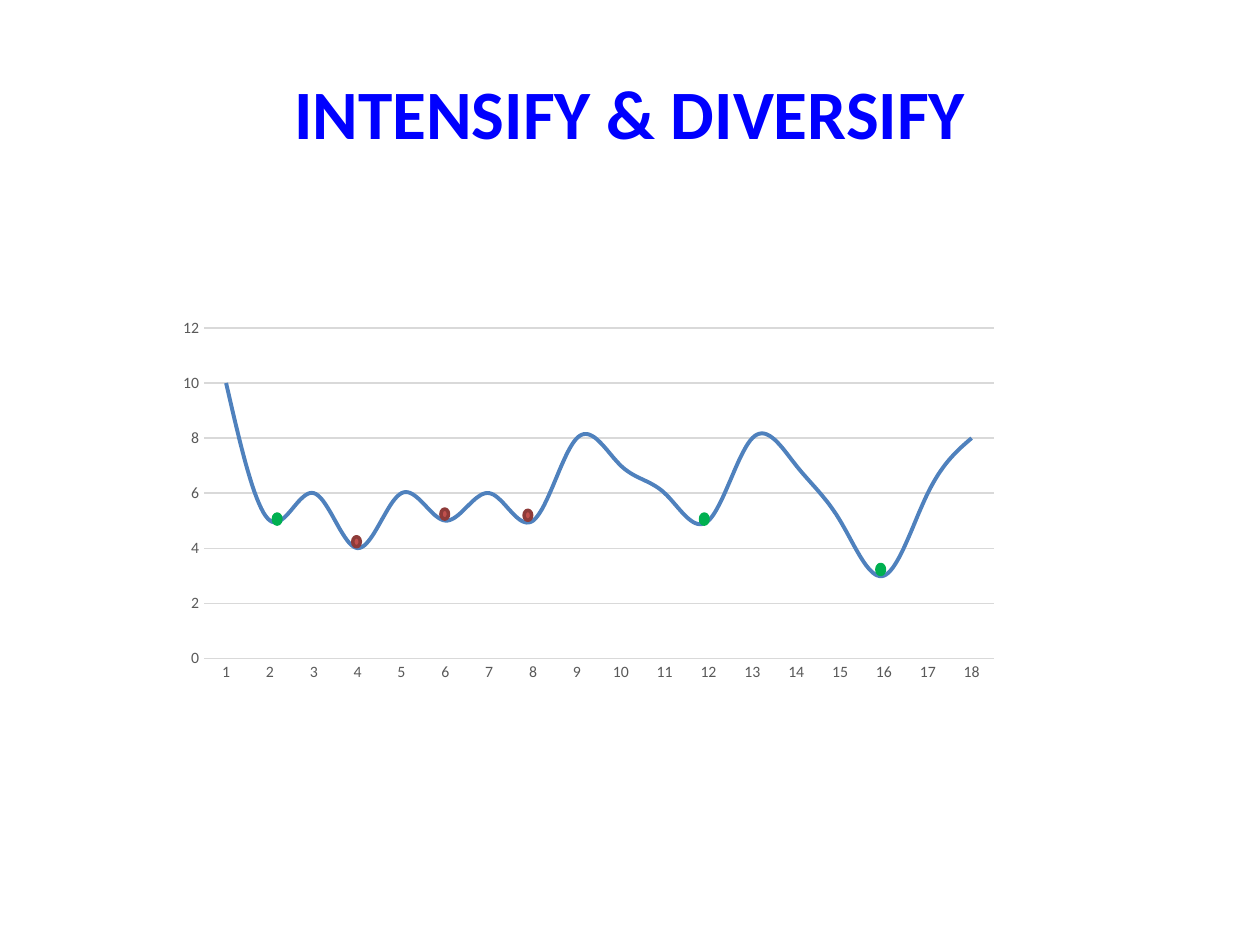
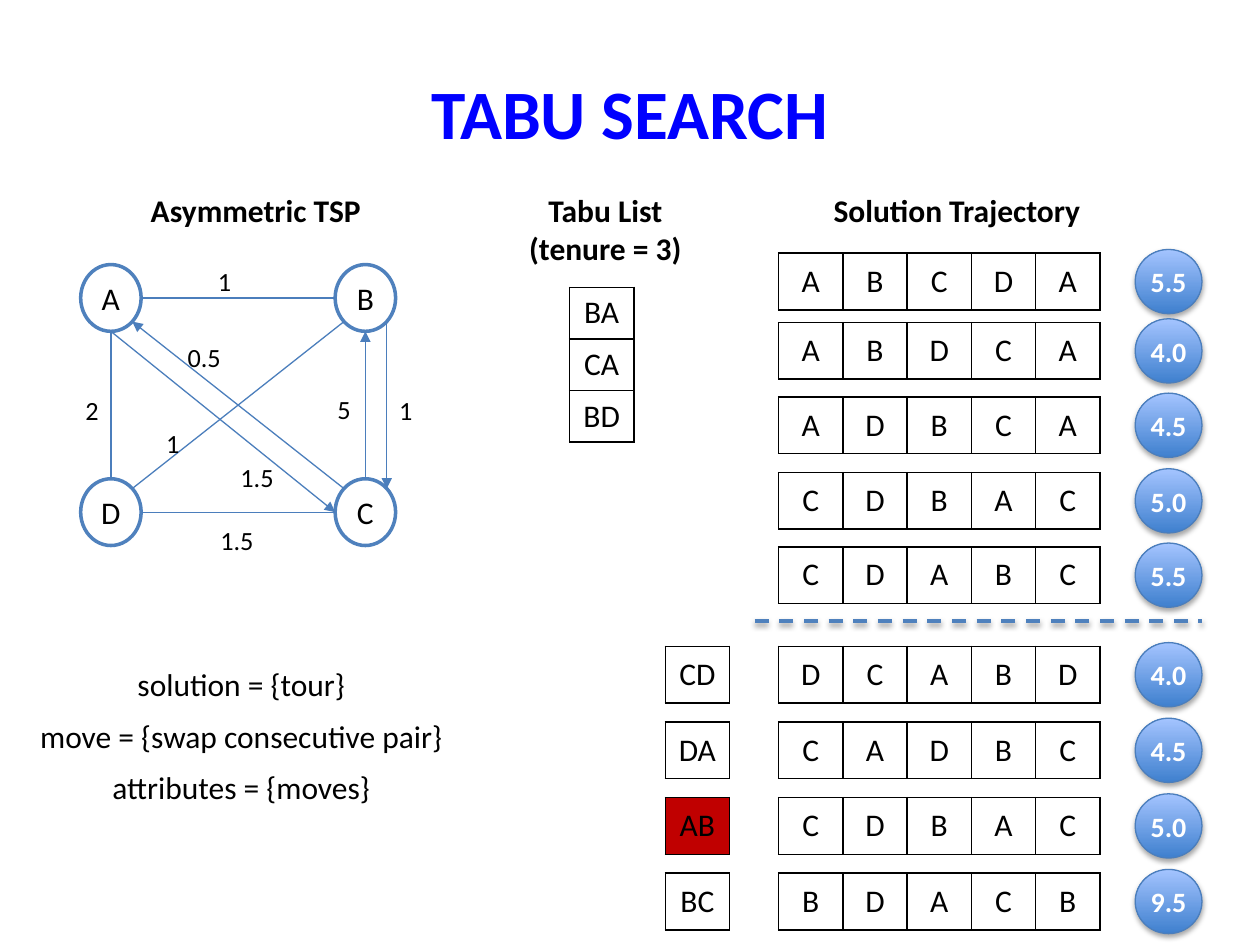
from math import sqrt

from lxml import etree
from pptx import Presentation
from pptx import util as u
from pptx.chart import data as chart_data
from pptx.dml.color import RGBColor
from pptx.enum import chart as chart_enum, dml, shapes, text
from pptx.oxml.ns import qn

FONT = "Calibri"
BLACK = RGBColor(0x00, 0x00, 0x00)
WHITE = RGBColor(0xFF, 0xFF, 0xFF)
TITLE_BLUE = RGBColor(0x00, 0x00, 0xFF)
BLUE = RGBColor(0x4F, 0x81, 0xBD)
EDGE_BLUE = RGBColor(0x4B, 0x7E, 0xBC)
BALL_DARK = RGBColor(0x3F, 0x80, 0xCE)
BALL_LIGHT = RGBColor(0xA4, 0xC4, 0xFF)
RED = RGBColor(0xC0, 0x50, 0x4D)
DARK_RED = RGBColor(0x8E, 0x3B, 0x39)
GREEN = RGBColor(0x00, 0xB0, 0x50)
TABU_RED = RGBColor(0xC0, 0x00, 0x00)
AXIS_GREY = RGBColor(0x59, 0x59, 0x59)
GRID_GREY = RGBColor(0xD9, 0xD9, 0xD9)

COSTS = [10, 5, 6, 4, 6, 5, 6, 5, 8, 7, 6, 5, 8, 7, 5, 3, 6, 8]
MINIMA = [
    (RED, DARK_RED, [(2.8, 4.26), (3.5, 4.04), (4.16, 4.05)]),
    (GREEN, GREEN, [(2.17, 4.08), (5.56, 4.08), (6.96, 4.48)]),
]

NODE_SIZE = (0.48, 0.53)
NODES = {"A": (0.64, 2.1), "B": (2.66, 2.1), "D": (0.64, 3.8), "C": (2.66, 3.8)}
EDGES = [
    ("A", "bottom", "C", "left", True),
    ("C", "top left", "A", "bottom right", True),
    ("A", "bottom", "D", "top", False),
    ("D", "right", "C", "left", False),
    ("B", "bottom left", "D", "top right", False),
    ("A", "right", "B", "left", False),
    ("B", "bottom right", "C", "top right", True),
    ("C", "top", "B", "bottom", True),
]
EDGE_COSTS = [
    ("1", 1.63, 2.06, 0.29), ("1", 1.22, 3.34, 0.29), ("1", 3.07, 3.08, 0.29),
    ("2", 0.58, 3.08, 0.29), ("1.5", 1.65, 4.11, 0.48), ("5", 2.58, 3.07, 0.29),
    ("0.5", 1.39, 2.66, 0.48), ("1.5", 1.81, 3.61, 0.61),
]
HEADINGS = [
    ("Asymmetric TSP", (1.02, 1.47, 2.02, 0.4)),
    ("Solution Trajectory", (6.46, 1.47, 2.27, 0.4)),
    ("Tabu List\n(tenure = 3)", (4.08, 1.47, 1.45, 0.71)),
]
DEFINITIONS = [
    ("solution = {tour}", (0.98, 5.23, 1.87, 0.4)),
    ("move = {swap consecutive pair}", (0.2, 5.64, 3.43, 0.4)),
    ("attributes = {moves}", (0.78, 6.05, 2.27, 0.4)),
]
TABU_LIST = ["BA", "CA", "BD"]
TRAJECTORY = [
    (2.01, "ABCDA", "5.5"), (2.56, "ABDCA", "4.0"), (3.15, "ADBCA", "4.5"),
    (3.75, "CDBAC", "5.0"), (4.34, "CDABC", "5.5"),
]
NEIGHBOURS = [
    ("CD", "DCABD", "4.0"), ("DA", "CADBC", "4.5"),
    ("AB", "CDBAC", "5.0"), ("BC", "BDACB", "9.5"),
]
NEIGHBOUR_TOP, NEIGHBOUR_STEP = 5.13, 0.6
CELL_WIDTH, TOUR_HEIGHT, TABU_HEIGHT = 0.51, 0.45, 0.41


def inches(*lengths):
    return [u.Inches(length) for length in lengths]


def write(frame, content, size=18, color=BLACK, bold=False,
          align=text.PP_ALIGN.CENTER, anchor=None, wrap=None):
    if anchor is not None:
        frame.vertical_anchor = anchor
    if wrap is not None:
        frame.word_wrap = wrap
    for index, line in enumerate(content.split("\n")):
        paragraph = frame.add_paragraph() if index else frame.paragraphs[0]
        paragraph.alignment = align
        run = paragraph.add_run()
        run.text = line
        run.font.name = FONT
        run.font.size = u.Pt(size)
        run.font.bold = bold
        run.font.color.rgb = color


def add_text(slide, content, box, **style):
    style = {"wrap": True, **style}
    write(slide.shapes.add_textbox(*inches(*box)).text_frame, content, **style)


def add_title(slide, content):
    add_text(slide, content, (0.5, 0.5, 9, 0.78), size=39.6, color=TITLE_BLUE,
             bold=True, anchor=text.MSO_ANCHOR.MIDDLE)


def add_ellipse(slide, box, line_color, line_width, fill=None, content=None, **style):
    shape = slide.shapes.add_shape(shapes.MSO_SHAPE.OVAL, *inches(*box))
    shape.shadow.inherit = False
    shape.line.color.rgb = line_color
    shape.line.width = u.Pt(line_width)
    if fill is not None:
        shape.fill.solid()
        shape.fill.fore_color.rgb = fill
    if content:
        write(shape.text_frame, content, anchor=text.MSO_ANCHOR.MIDDLE, wrap=False, **style)
    return shape


def add_shadow(effects, alpha, distance):
    shadow = etree.SubElement(effects, qn("a:outerShdw"), blurRad=str(u.Pt(3.1)),
                              dist=str(u.Pt(distance)), dir="5400000", rotWithShape="0")
    color = etree.SubElement(shadow, qn("a:srgbClr"), val=str(BLACK))
    etree.SubElement(color, qn("a:alpha"), val=str(alpha * 1000))


def add_line(slide, start, end, color, width, arrow=False):
    connector = slide.shapes.add_connector(
        shapes.MSO_CONNECTOR.STRAIGHT, *inches(*start, *end))
    connector.line.color.rgb = color
    connector.line.width = u.Pt(width)
    if arrow:
        etree.SubElement(connector.line._get_or_add_ln(), qn("a:tailEnd"), type="triangle")
    effects = etree.SubElement(connector._element.spPr, qn("a:effectLst"))
    return connector, effects


def add_border(cell):
    properties = cell._tc.get_or_add_tcPr()
    for index, side in enumerate(("lnL", "lnR", "lnT", "lnB")):
        line = etree.Element(qn(f"a:{side}"), w=str(u.Pt(1)))
        fill = etree.SubElement(line, qn("a:solidFill"))
        etree.SubElement(fill, qn("a:srgbClr"), val=str(BLACK))
        properties.insert(index, line)


def add_grid(slide, rows, left, top, height, fill=None):
    count = len(rows[0])
    table = slide.shapes.add_table(len(rows), count, *inches(
        left, top, CELL_WIDTH * count, height * len(rows))).table
    table.first_row = table.horz_banding = False
    for column in table.columns:
        column.width = u.Inches(CELL_WIDTH)
    for row_index, row in enumerate(rows):
        table.rows[row_index].height = u.Inches(height)
        for column_index, content in enumerate(row):
            cell = table.cell(row_index, column_index)
            cell.vertical_anchor = text.MSO_ANCHOR.MIDDLE
            if fill is None:
                cell.fill.background()
            else:
                cell.fill.solid()
                cell.fill.fore_color.rgb = fill
            write(cell.text_frame, content)
            add_border(cell)


def add_tour(slide, top, tour, cost):
    add_grid(slide, [list(tour)], 6.18, top, TOUR_HEIGHT)
    ball = add_ellipse(slide, (9.01, top - 0.03, 0.53, 0.51), EDGE_BLUE, 0.75,
                       content=cost, size=16, color=WHITE, bold=True)
    ball.fill.gradient()
    ball.fill.gradient_angle = 90
    for stop, color in zip(ball.fill.gradient_stops, (BALL_DARK, BALL_LIGHT)):
        stop.color.rgb = color
    add_shadow(ball._element.spPr.find(qn("a:effectLst")), 35, 1.8)


def node_point(node, side):
    left, top = NODES[node]
    width, height = NODE_SIZE
    across = ("right" in side) - ("left" in side)
    down = ("bottom" in side) - ("top" in side)
    reach = sqrt(across ** 2 + down ** 2) * 2
    return left + width * (0.5 + across / reach), top + height * (0.5 + down / reach)


def add_cost_chart(slide):
    data = chart_data.CategoryChartData()
    data.categories = [str(step) for step in range(1, len(COSTS) + 1)]
    data.add_series("Series 1", COSTS)
    chart = slide.shapes.add_chart(chart_enum.XL_CHART_TYPE.LINE,
                                   *inches(1.32, 2.47, 6.7, 3), data).chart
    chart.has_legend = chart.has_title = False
    chart.font.name = FONT
    chart.font.size = u.Pt(10)
    chart.plots[0].vary_by_categories = False
    series = chart.plots[0].series[0]
    series.smooth = True
    series.marker.style = chart_enum.XL_MARKER_STYLE.NONE
    series.format.line.color.rgb = BLUE
    series.format.line.width = u.Pt(2.25)
    category_axis, value_axis = chart.category_axis, chart.value_axis
    for axis in (category_axis, value_axis):
        axis.major_tick_mark = axis.minor_tick_mark = chart_enum.XL_TICK_MARK.NONE
        axis.tick_labels.font.name = FONT
        axis.tick_labels.font.size = u.Pt(9)
        axis.tick_labels.font.color.rgb = AXIS_GREY
    value_axis.minimum_scale, value_axis.maximum_scale, value_axis.major_unit = 0, 12, 2
    value_axis.format.line.fill.background()
    for line in (category_axis.format.line, value_axis.major_gridlines.format.line):
        line.color.rgb = GRID_GREY
        line.width = u.Pt(0.75)


def build_intensify(slide):
    add_title(slide, "INTENSIFY & DIVERSIFY")
    add_cost_chart(slide)
    for fill, outline, places in MINIMA:
        for place in places:
            add_ellipse(slide, (*place, 0.06, 0.08), outline, 2, fill=fill)


def build_tabu(slide):
    add_title(slide, "TABU SEARCH")
    for name, place in NODES.items():
        add_ellipse(slide, (*place, *NODE_SIZE), BLUE, 2, fill=WHITE, content=name)
    for start, start_side, end, end_side, arrow in EDGES:
        add_line(slide, node_point(start, start_side), node_point(end, end_side),
                 EDGE_BLUE, 0.75, arrow)
    for cost, left, top, width in EDGE_COSTS:
        add_text(slide, cost, (left, top, width, 0.35), size=15, align=text.PP_ALIGN.LEFT)
    for heading, box in HEADINGS:
        add_text(slide, heading, box, bold=True)
    for definition, box in DEFINITIONS:
        add_text(slide, definition, box, wrap=False)
    add_grid(slide, [[move] for move in TABU_LIST], 4.52, 2.28, TABU_HEIGHT)
    for top, tour, cost in TRAJECTORY:
        add_tour(slide, top, tour, cost)
    divider, effects = add_line(slide, (5.99, 4.93), (9.54, 4.93), BLUE, 2)
    divider.line.dash_style = dml.MSO_LINE.DASH
    add_shadow(effects, 38, 1.6)
    for index, (move, tour, cost) in enumerate(NEIGHBOURS):
        top = NEIGHBOUR_TOP + index * NEIGHBOUR_STEP
        is_tabu = move[::-1] in TABU_LIST
        add_grid(slide, [[move]], 5.28, top, TOUR_HEIGHT, fill=TABU_RED if is_tabu else None)
        add_tour(slide, top, tour, cost)


def main():
    presentation = Presentation()
    presentation.slide_width, presentation.slide_height = inches(10, 7.5)
    for build in (build_intensify, build_tabu):
        build(presentation.slides.add_slide(presentation.slide_layouts[6]))
    presentation.save("out.pptx")


if __name__ == "__main__":
    main()
